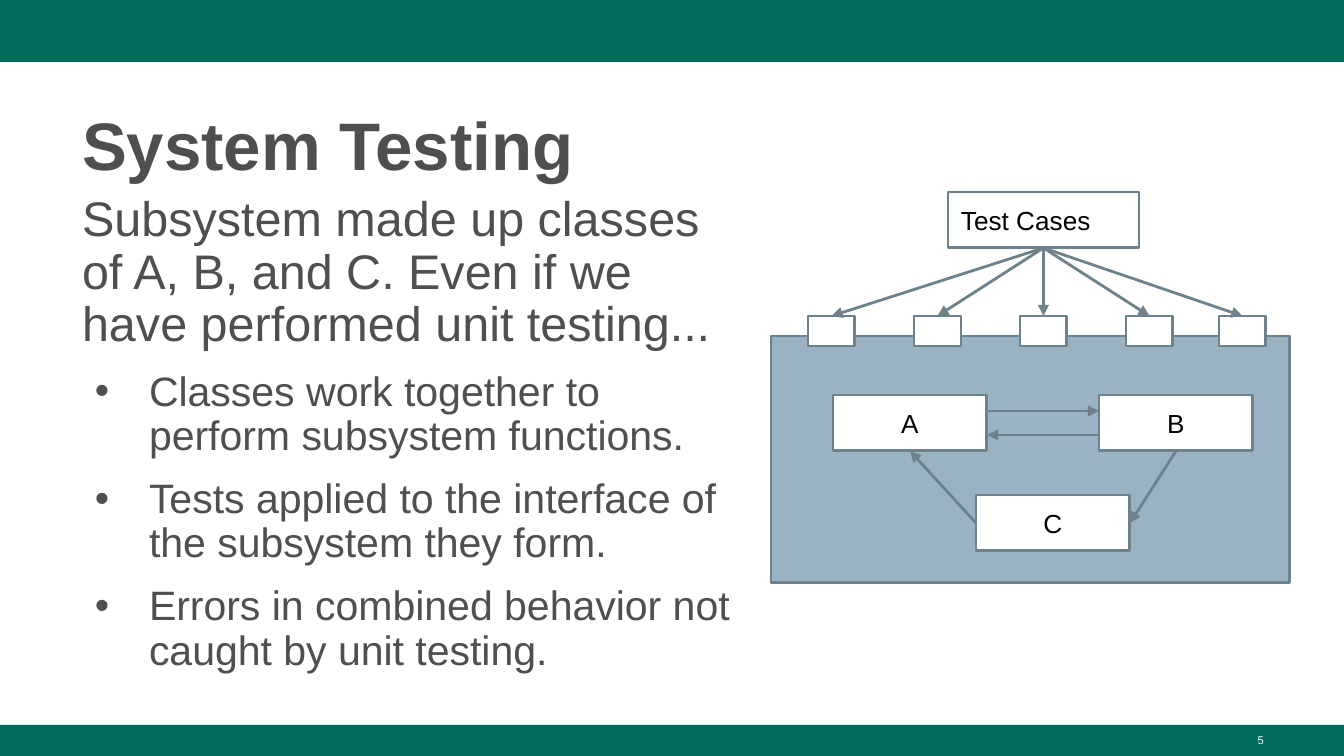
import pptx
import pptx.util
import pptx.dml.color
import pptx.enum.shapes
import pptx.enum.text
import pptx.oxml
import pptx.oxml.ns

# Content
TITLE = "System Testing"
LEAD = "Subsystem made up classes of A, B, and C. Even if we have performed unit testing..."
POINTS = [
    "Classes work together to perform subsystem functions.",
    "Tests applied to the interface of the subsystem they form.",
    "Errors in combined behavior not caught by unit testing.",
]
NUMBER = "5"
COLORS = {"bar": "006C5C", "text": "4F4F4F", "panel": "99B3C2",
          "line": "6F828C", "white": "FFFFFF", "black": "000000"}
FONT = "Arial"

# Places in px: left, top, width, height
SIZE = (1344, 756)
BARS = [(0, 0, 1344, 62), (0, 725, 1344, 31)]
PANEL = (771, 336, 519, 247)
NODES = {"A": (833, 395), "C": (976, 495), "B": (1099, 395)}
NODE = (154, 56)
TESTS = (948, 192, 191, 56)
PORTS = [808, 914, 1020, 1126, 1219]
PORT = (316, 47, 30)
LINKS = [("B", 2, "C", 3), ("C", 1, "A", 2)]
UNIT = 914400 / 134.4

ALIGN = pptx.enum.text.PP_ALIGN
ANCHOR = pptx.enum.text.MSO_ANCHOR


def px(n):
    return pptx.util.Emu(round(n * UNIT))


def color(name):
    return pptx.dml.color.RGBColor.from_string(COLORS[name])


def add_run(para, text, size, ink, bold=False):
    run = para.add_run()
    run.text = text
    font = run.font
    font.name, font.size, font.bold = FONT, pptx.util.Pt(size), bold
    font.color.rgb = color(ink)


def set_frame(shape, anchor, side, top):
    frame = shape.text_frame
    frame.word_wrap = True
    frame.auto_size = pptx.enum.text.MSO_AUTO_SIZE.NONE
    frame.vertical_anchor = anchor
    frame.margin_left = frame.margin_right = px(side)
    frame.margin_top = frame.margin_bottom = px(top)
    return frame


def place(shape, left, top, width, height):
    shape.left, shape.top = px(left), px(top)
    shape.width, shape.height = px(width), px(height)


def add_box(slide, area, fill, line=None, text="", align=ALIGN.CENTER):
    kind = pptx.enum.shapes.MSO_SHAPE.RECTANGLE
    box = slide.shapes.add_shape(kind, *map(px, area))
    box.shadow.inherit = False
    box.fill.solid()
    box.fill.fore_color.rgb = color(fill)
    if line:
        box.line.color.rgb = color(line)
        box.line.width = pptx.util.Pt(1.5)
    else:
        box.line.fill.background()
    if text:
        para = set_frame(box, ANCHOR.MIDDLE, 13, 13).paragraphs[0]
        para.alignment = align
        add_run(para, text, 14, "black")
    return box


def add_arrow(slide, start=(0, 0), end=(0, 0)):
    kind = pptx.enum.shapes.MSO_CONNECTOR.STRAIGHT
    arrow = slide.shapes.add_connector(kind, *map(px, start + end))
    arrow.line.color.rgb = color("line")
    arrow.line.width = pptx.util.Pt(1.5)
    ln = arrow.line._get_or_add_ln()
    pptx.oxml.ns.qn("a:tailEnd")
    tail = ln.makeelement(pptx.oxml.ns.qn("a:tailEnd"), {"type": "triangle"})
    ln.append(tail)
    props = arrow._element.spPr
    props.append(props.makeelement(pptx.oxml.ns.qn("a:effectLst"), {}))
    return arrow


def join(slide, first, out, last, into):
    arrow = add_arrow(slide)
    arrow.begin_connect(first, out)
    arrow.end_connect(last, into)


def set_bullet(para, char=None):
    props = para._p.get_or_add_pPr()
    props.set("marL", str(px(67 if char else 0)))
    props.set("indent", str(px(-54 if char else 0)))
    tag, attrs = ("a:buChar", {"char": char}) if char else ("a:buNone", {})
    props.append(props.makeelement(pptx.oxml.ns.qn(tag), attrs))


def main():
    deck = pptx.Presentation()
    deck.slide_width, deck.slide_height = map(px, SIZE)
    slide = deck.slides.add_slide(deck.slide_layouts[1])

    # Bars
    for area in BARS:
        add_box(slide, area, "bar")

    # Title
    title = slide.shapes.title
    place(title, 69, 90, 1208, 98)
    para = set_frame(title, ANCHOR.TOP, 13, 7).paragraphs[0]
    para.alignment = ALIGN.LEFT
    para.line_spacing = 1.08
    add_run(para, TITLE, 36, "text", True)

    # Lead and points
    body = slide.placeholders[1]
    place(body, 69, 188, 695, 512)
    frame = set_frame(body, ANCHOR.TOP, 13, 7)
    for i, text in enumerate([LEAD] + POINTS):
        para = frame.add_paragraph() if i else frame.paragraphs[0]
        set_bullet(para, "•" if i else None)
        para.line_spacing = 0.9
        para.space_before = pptx.util.Pt(10 if i else 0)
        add_run(para, text, 22 if i else 26, "text")

    # Subsystem and its classes
    add_box(slide, PANEL, "panel", "line")
    nodes = {name: add_box(slide, spot + NODE, "white", "line", name)
             for name, spot in NODES.items()}
    for first, out, last, into in LINKS:
        join(slide, nodes[first], out, nodes[last], into)
    left, right = NODES["A"][0] + NODE[0], NODES["B"][0]
    add_arrow(slide, (left, 411), (right, 411))
    add_arrow(slide, (right, 435), (left, 435))

    # Test cases and ports
    tests = add_box(slide, TESTS, "white", "line", "Test Cases", ALIGN.LEFT)
    top, width, height = PORT
    for x in PORTS:
        port = add_box(slide, (x, top, width, height), "white", "line")
        join(slide, tests, 2, port, 0)

    # Slide number
    note = slide.shapes.add_textbox(*map(px, (964, 726, 313, 30)))
    para = set_frame(note, ANCHOR.TOP, 13, 7).paragraphs[0]
    para.alignment = ALIGN.RIGHT
    add_run(para, NUMBER, 6, "white")

    deck.save("out.pptx")


if __name__ == "__main__":
    main()
